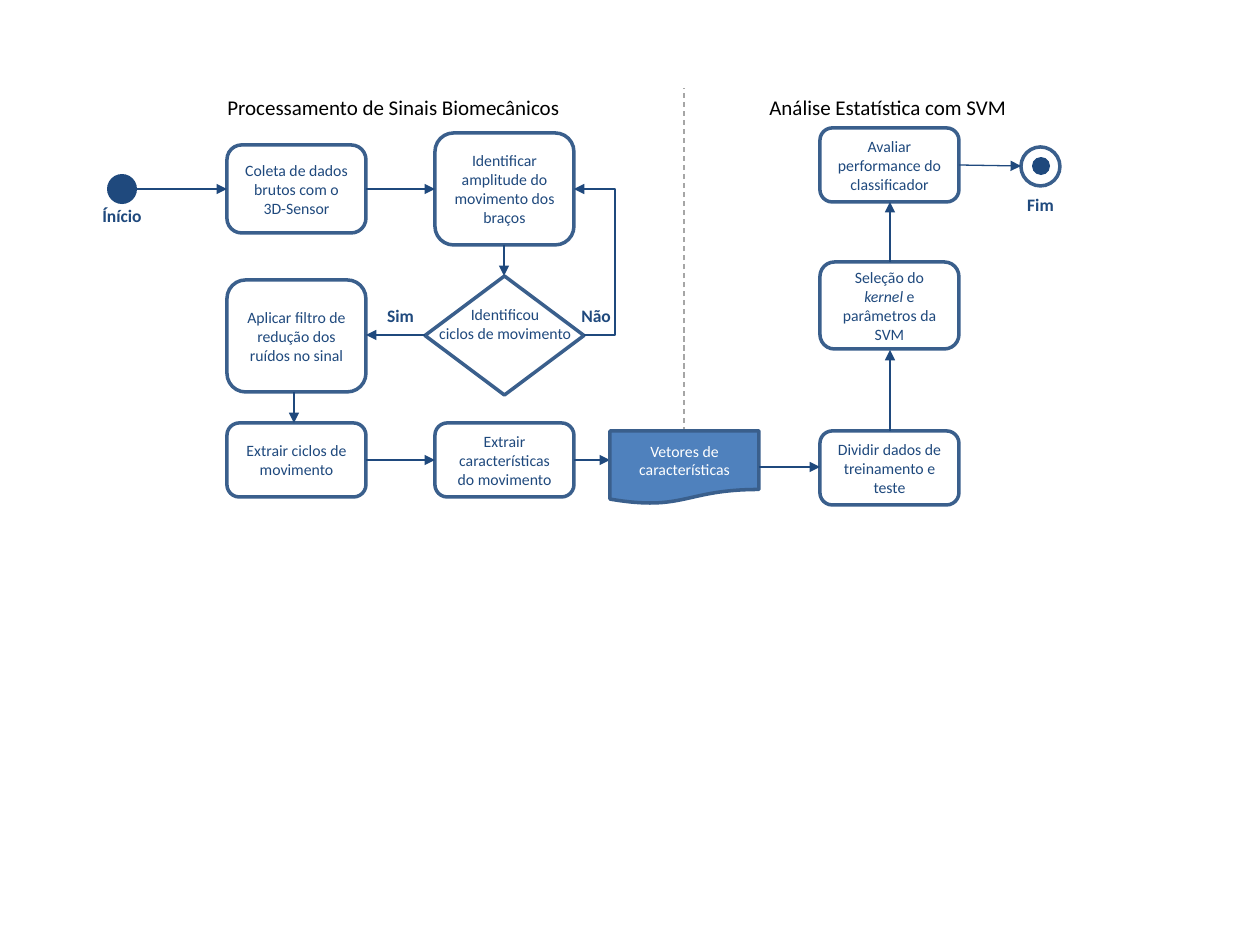
from lxml import etree
from pptx import Presentation
from pptx import util as u
from pptx.dml.color import RGBColor
from pptx.enum import dml, shapes, text
from pptx.oxml.ns import qn

SCALE = 914400 / 126  # EMU in one px
NAVY = RGBColor(0x1F, 0x49, 0x7D)
BORDER = RGBColor(0x3A, 0x5F, 0x8C)
BLUE = RGBColor(0x4F, 0x81, 0xBD)
GREY = RGBColor(0xA6, 0xA6, 0xA6)
WHITE = RGBColor(0xFF, 0xFF, 0xFF)
BLACK = RGBColor(0, 0, 0)
SHAPE = shapes.MSO_SHAPE
CENTER = text.PP_ALIGN.CENTER


def emu(*lengths):
    return [u.Emu(round(length * SCALE)) for length in lengths]


class Flowchart:
    """Holds the slide being drawn and its shared style."""

    font = "Calibri"
    step_width = 139

    def __init__(self, slide):
        self.items = slide.shapes

    def fill_text(self, frame, lines, size, color, bold=False, align=CENTER, italic=None):
        """Fill a frame, one paragraph a line; the word given as italic is slanted."""
        for index, line in enumerate(lines.split("\n")):
            para = frame.paragraphs[0] if index == 0 else frame.add_paragraph()
            para.alignment = align
            for part in line.partition(italic) if italic else [line]:
                span = para.add_run()
                span.text = part
                span.font.name = self.font
                span.font.size = u.Pt(size)
                span.font.bold = bold
                span.font.italic = part == italic
                span.font.color.rgb = color

    def shape(self, kind, left, top, width, height, fill=WHITE, border=BORDER):
        shape = self.items.add_shape(kind, *emu(left, top, width, height))
        shape.shadow.inherit = False
        shape.fill.solid()
        shape.fill.fore_color.rgb = fill
        if border is None:
            shape.line.fill.background()
        else:
            shape.line.color.rgb = border
            shape.line.width = u.Pt(2)
        return shape

    def step(self, left, top, height, words, italic=None):
        box = self.shape(SHAPE.ROUNDED_RECTANGLE, left, top, self.step_width, height)
        self.fill_text(box.text_frame, words, 9, NAVY, italic=italic)

    def dot(self, left, top, size):
        self.shape(SHAPE.OVAL, left, top, size, size, NAVY, None)

    def label(self, left, top, width, height, words, size=10, color=NAVY,
              bold=True, align=CENTER):
        frame = self.items.add_textbox(*emu(left, top, width, height)).text_frame
        frame.word_wrap = False
        frame.auto_size = text.MSO_AUTO_SIZE.SHAPE_TO_FIT_TEXT
        self.fill_text(frame, words, size, color, bold, align)

    def heading(self, left, width, words):
        self.label(left, 88, width, 38, words, 12, BLACK, False, text.PP_ALIGN.LEFT)

    def line(self, start, end, color=NAVY, kind=shapes.MSO_CONNECTOR.STRAIGHT):
        line = self.items.add_connector(kind, *emu(*start, *end))
        line.line.color.rgb = color
        line.line.width = u.Pt(0.75)
        etree.SubElement(line._element.spPr, qn("a:effectLst"))
        return line

    def arrow(self, start, end):
        self.add_head(self.line(start, end), "a:tailEnd")

    def add_head(self, line, which):
        outline = line._element.spPr.find(qn("a:ln"))
        etree.SubElement(outline, qn(which), type="triangle")

    def loop_back(self, target, source, bend_x):
        """Elbow that leaves source, turns at bend_x and points at target."""
        line = self.line(target, source, kind=shapes.MSO_CONNECTOR.ELBOW)
        ratio = (bend_x - target[0]) / (source[0] - target[0])
        guides = line._element.spPr.find(qn("a:prstGeom")).get_or_add_avLst()
        etree.SubElement(guides, qn("a:gd"), name="adj1",
                         fmla=f"val {round(ratio * 100000)}")
        self.add_head(line, "a:headEnd")

    def divider(self, x, top, bottom):
        line = self.line((x, bottom), (x, top), GREY)
        line.line.dash_style = dml.MSO_LINE.DASH


def draw_signal_processing(chart):
    first, second = 227, 435
    first_end, second_end = first + chart.step_width, second + chart.step_width
    chart.heading(215, 373, "Processamento de Sinais Biomecânicos")

    chart.dot(107, 174, 30)
    chart.label(89, 199, 66, 34, "Ínício")
    chart.step(first, 145, 88, "Coleta de dados brutos com o 3D-Sensor")
    chart.step(second, 133, 112, "Identificar amplitude do movimento dos braços")
    chart.shape(SHAPE.DIAMOND, 425, 276, 159, 119)
    chart.label(425, 299, 160, 50, "Identificou\nciclos de movimento", 9, bold=False)
    chart.step(first, 280, 112, "Aplicar filtro de\nredução dos ruídos no sinal")
    chart.step(first, 423, 74, "Extrair ciclos de movimento")
    chart.step(second, 423, 74, "Extrair características do movimento")
    chart.label(374, 299, 53, 34, "Sim")
    chart.label(568, 299, 56, 34, "Não")

    chart.arrow((137, 189), (first, 189))
    chart.arrow((first_end, 189), (second, 189))
    chart.arrow((504, 245), (504, 276))
    chart.arrow((425, 335), (first_end, 335))
    chart.loop_back((second_end, 189), (584, 335), 615)
    chart.arrow((294, 392), (294, 423))
    chart.arrow((first_end, 460), (second, 460))
    chart.arrow((second_end, 460), (610, 460))


def draw_statistical_analysis(chart):
    left, middle = 820, 890
    chart.heading(757, 266, "Análise Estatística com SVM")

    vectors = chart.shape(SHAPE.FLOWCHART_DOCUMENT, 610, 431, 149, 73, BLUE)
    chart.fill_text(vectors.text_frame, "Vetores de\ncaracterísticas", 9, WHITE)
    chart.step(left, 431, 74, "Dividir dados de treinamento e teste")
    chart.step(left, 262, 87, "Seleção do kernel e parâmetros da SVM", italic="kernel")
    chart.step(left, 128, 74, "Avaliar performance do classificador")
    chart.shape(SHAPE.FLOWCHART_CONNECTOR, 1021, 147, 39, 39)
    chart.dot(1032, 157, 18)
    chart.label(1014, 188, 53, 34, "Fim")

    chart.arrow((759, 467), (left, 467))
    chart.arrow((middle, 431), (middle, 350))
    chart.arrow((middle, 262), (middle, 202))
    chart.arrow((left + chart.step_width, 165), (1021, 166))


def main():
    deck = Presentation()
    deck.slide_width, deck.slide_height = emu(1260, 945)
    chart = Flowchart(deck.slides.add_slide(deck.slide_layouts[6]))
    chart.divider(684, 88, 486)
    draw_signal_processing(chart)
    draw_statistical_analysis(chart)
    deck.save("out.pptx")


if __name__ == "__main__":
    main()
